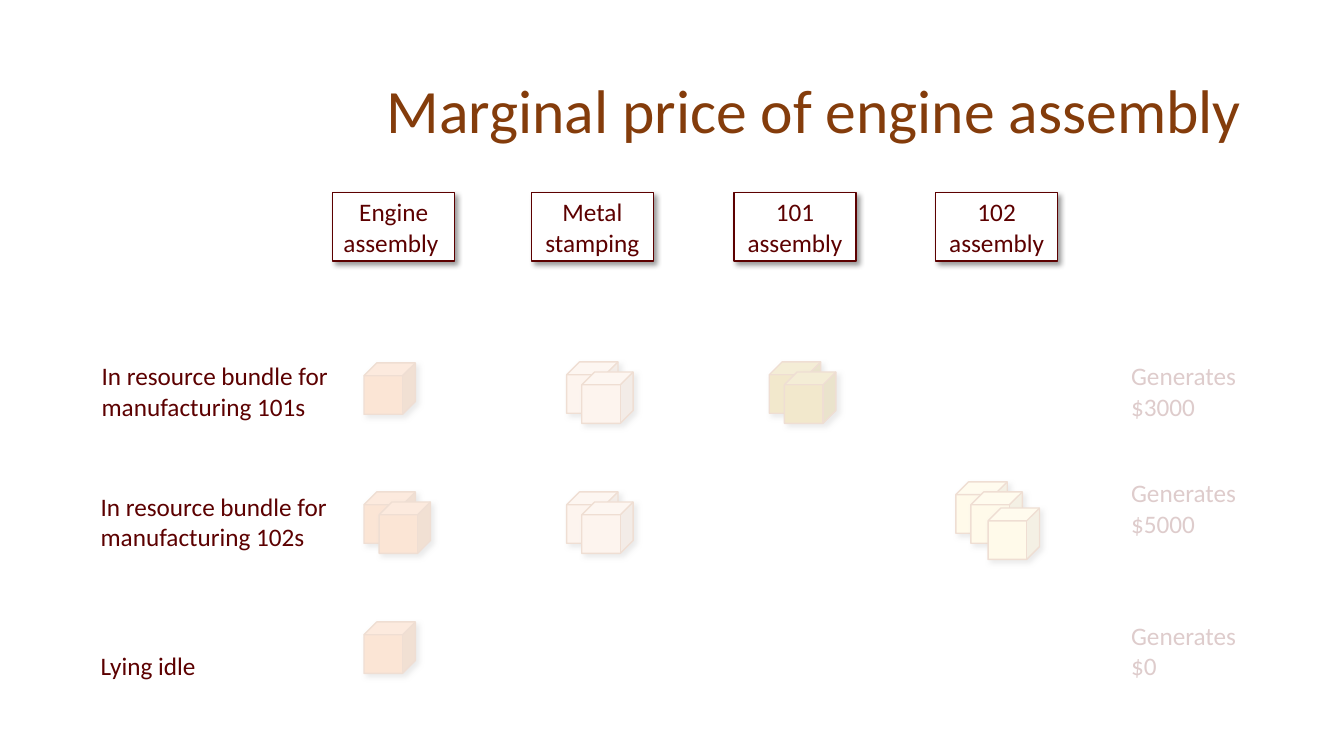
import pptx
import pptx.util
import pptx.dml.color
import pptx.enum.shapes
import pptx.enum.text
import pptx.oxml
from pptx.util import Inches

COLORS = {
    "title": "843C0B", "maroon": "5C0000", "cube_line": "AF5C24",
    "engine": "ED7D31", "stamping": "F8CBAD", "line_101": "BF9000",
    "line_102": "FFE699", "white": "FFFFFF", "shadow": "000000",
}
FONT = "Calibri"
NS = 'xmlns:a="http://schemas.openxmlformats.org/drawingml/2006/main"'
SHAPES = pptx.enum.shapes.MSO_SHAPE
ALIGN = pptx.enum.text.PP_ALIGN
ANCHOR = pptx.enum.text.MSO_ANCHOR

CUBE_SIZE = 0.51
CUBE_OFFSETS = [(0, 0), (0.15, 0.1), (0.32, 0.26)]


def rgb(name):
    return pptx.dml.color.RGBColor.from_string(COLORS[name])


def add_span(para, text, size=18, color="maroon"):
    span = para.add_run()
    span.text = text
    span.font.name = FONT
    span.font.size = pptx.util.Pt(size)
    span.font.color.rgb = rgb(color)


def add_title(page, text):
    title = page.shapes.title
    title.left, title.top = Inches(0.92), Inches(0.4)
    title.width, title.height = Inches(11.5), Inches(1.45)
    frame = title.text_frame
    frame.vertical_anchor = ANCHOR.MIDDLE
    para = frame.paragraphs[0]
    para.alignment = ALIGN.RIGHT
    para.line_spacing = 0.9
    add_span(para, text, 44, "title")


def add_solid(page, kind, left, top, width, height, fill):
    shape = page.shapes.add_shape(
        kind, Inches(left), Inches(top), Inches(width), Inches(height))
    shape.shadow.inherit = False
    shape.fill.solid()
    shape.fill.fore_color.rgb = rgb(fill)
    shape.line.fill.background()
    return shape


def add_outline_and_shadow(shape, color):
    shape.line.color.rgb = rgb(color)
    shape.line.width = pptx.util.Pt(1)
    effects = shape.element.spPr.find(pptx.oxml.ns.qn("a:effectLst"))
    effects.append(pptx.oxml.parse_xml(
        f'<a:outerShdw {NS} blurRad="50800" dist="38100" dir="2700000" '
        f'algn="tl" rotWithShape="0"><a:srgbClr val="{COLORS["shadow"]}">'
        '<a:alpha val="40000"/></a:srgbClr></a:outerShdw>'))


def add_cubes(page, left, top, count, fill):
    for across, down in CUBE_OFFSETS[:count]:
        cube = add_solid(page, SHAPES.CUBE, left + across, top + down,
                         CUBE_SIZE, CUBE_SIZE, fill)
        add_outline_and_shadow(cube, "cube_line")


def add_header(page, left, text):
    box = add_solid(page, SHAPES.RECTANGLE, left, 1.91, 1.21, 0.68, "white")
    add_outline_and_shadow(box, "maroon")
    frame = box.text_frame
    frame.word_wrap = True
    frame.vertical_anchor = ANCHOR.MIDDLE
    para = frame.paragraphs[0]
    para.alignment = ALIGN.CENTER
    add_span(para, text)


def add_label(page, left, top, width, height, paragraphs):
    """Each paragraph is a list of lines parted by line breaks."""
    box = page.shapes.add_textbox(
        Inches(left), Inches(top), Inches(width), Inches(height))
    frame = box.text_frame
    frame.word_wrap = False
    frame.auto_size = pptx.enum.text.MSO_AUTO_SIZE.SHAPE_TO_FIT_TEXT
    for index, lines in enumerate(paragraphs):
        para = frame.add_paragraph() if index else frame.paragraphs[0]
        for number, line in enumerate(lines):
            if number:
                para.add_line_break()
            add_span(para, line)


def add_veil(page, left, top):
    veil = add_solid(page, SHAPES.RECTANGLE, left, top, 9.49, 1.07, "white")
    color = veil.element.spPr.find(".//" + pptx.oxml.ns.qn("a:srgbClr"))
    color.append(pptx.oxml.parse_xml(f'<a:alpha {NS} val="80000"/>'))


def main():
    deck = pptx.Presentation()
    deck.slide_width, deck.slide_height = Inches(13.33), Inches(7.5)
    page = deck.slides.add_slide(deck.slide_layouts[5])
    add_title(page, "Marginal price of engine assembly")

    # Resource units: left, top, count, colour
    for cubes in [
        (3.61, 3.6, 1, "engine"), (3.61, 4.88, 2, "engine"),
        (3.61, 6.17, 1, "engine"),
        (5.62, 4.88, 2, "stamping"), (5.62, 3.59, 2, "stamping"),
        (7.63, 3.59, 2, "line_101"), (9.48, 4.78, 3, "line_102"),
    ]:
        add_cubes(page, *cubes)

    # Column headers
    for left, text in [(3.3, "Engine assembly "), (5.27, "Metal stamping"),
                       (7.28, "101 assembly"), (9.28, "102 assembly")]:
        add_header(page, left, text)

    # Row labels
    for left, top, product in [(0.91, 3.53, "101s"), (0.9, 4.82, "102s")]:
        add_label(page, left, top, 2.47, 0.71,
                  [["In resource bundle for", f"manufacturing {product}"]])
    add_label(page, 0.9, 6.4, 1.16, 0.4, [["Lying idle"]])

    # Revenue of each row
    for top, amount in [(3.53, "$3000"), (4.69, "$5000"), (6.1, "$0")]:
        add_label(page, 11.12, top, 1.25, 0.71, [["Generates"], [amount]])

    # Translucent veils over the rows
    for left, top in [(3.5, 3.39), (3.48, 4.7), (3.48, 5.77)]:
        add_veil(page, left, top)

    deck.save("out.pptx")


if __name__ == "__main__":
    main()
